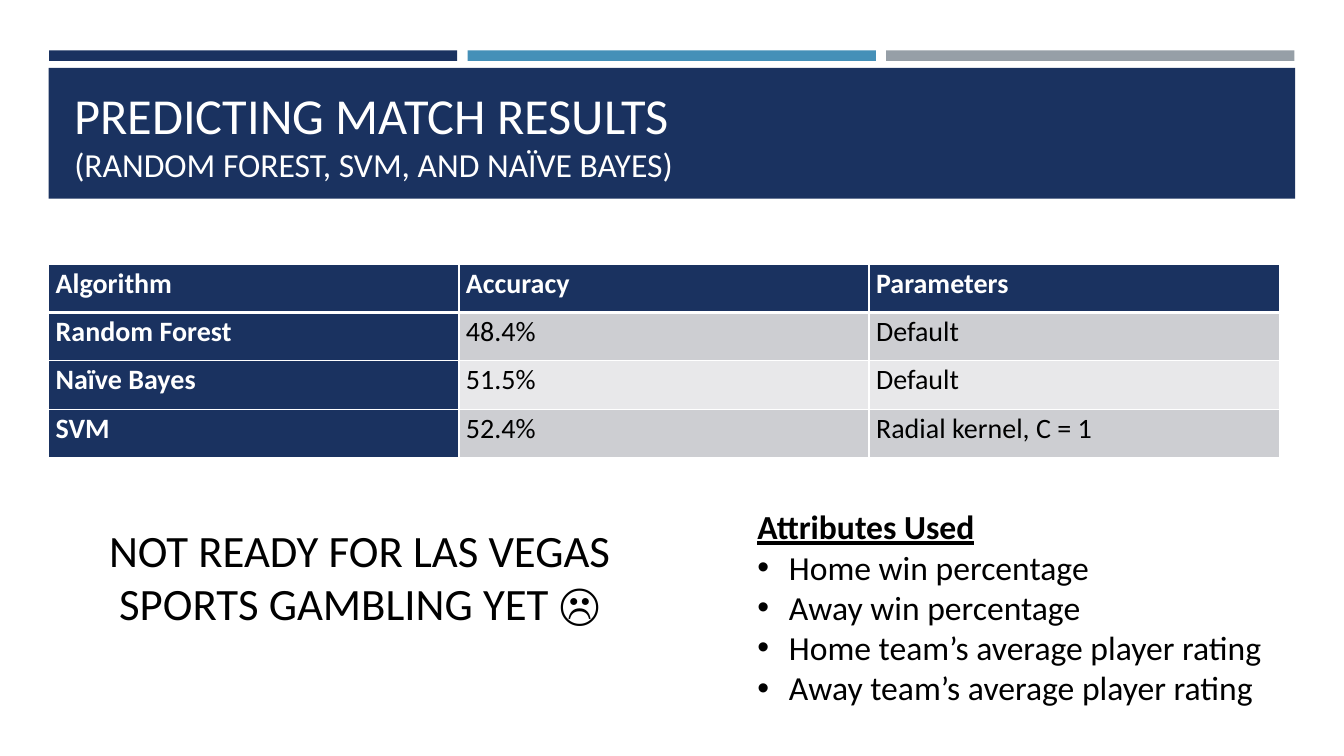
from lxml import etree
from pptx import Presentation
from pptx.dml.color import RGBColor
from pptx.enum.shapes import MSO_SHAPE
from pptx.enum.text import MSO_ANCHOR, PP_ALIGN
from pptx.oxml.ns import qn
from pptx.util import Pt

FONT = "Calibri"
COLORS = {
    "navy": "1A3260",
    "blue": "4590B8",
    "gray": "969FA7",
    "band_dark": "CDCED2",
    "band_light": "E8E8EA",
    "white": "FFFFFF",
    "black": "000000",
}
RESULTS = [
    ["Algorithm", "Accuracy", "Parameters"],
    ["Random Forest", "48.4%", "Default"],
    ["Naïve Bayes", "51.5%", "Default"],
    ["SVM", "52.4%", "Radial kernel, C = 1"],
]
ATTRIBUTES = [
    "Home win percentage",
    "Away win percentage",
    "Home team’s average player rating",
    "Away team’s average player rating",
]


def color(name):
    return RGBColor.from_string(COLORS[name])


def style_span(span, size, color_name, bold=False):
    span.font.name = FONT
    span.font.size = Pt(size)
    span.font.bold = bold
    span.font.color.rgb = color(color_name)


def add_bar(page, left, top, width, height, color_name):
    bar = page.shapes.add_shape(
        MSO_SHAPE.RECTANGLE, Pt(left), Pt(top), Pt(width), Pt(height))
    bar.shadow.inherit = False
    bar.fill.solid()
    bar.fill.fore_color.rgb = color(color_name)
    bar.line.fill.background()


def add_text(page, left, top, width, height, anchor=MSO_ANCHOR.TOP):
    box = page.shapes.add_textbox(Pt(left), Pt(top), Pt(width), Pt(height))
    box.text_frame.word_wrap = True
    box.text_frame.vertical_anchor = anchor
    return box.text_frame


def add_title(page, title, subtitle):
    frame = add_text(page, 46, 55.5, 868, 80, MSO_ANCHOR.BOTTOM)
    para = frame.paragraphs[0]
    para.text = f"{title}\n{subtitle}"
    for span, size in zip(para.runs, (36, 24)):
        style_span(span, size, "white")


def add_conclusion(page, text):
    frame = add_text(page, 56, 369.5, 402, 124)
    frame.text = text
    para = frame.paragraphs[0]
    para.alignment = PP_ALIGN.CENTER
    style_span(para.runs[0], 32, "black")


def set_bullet(para, indent):
    properties = para._p.get_or_add_pPr()
    properties.set("marL", str(Pt(indent)))
    properties.set("indent", str(-Pt(indent)))
    etree.SubElement(properties, qn("a:buFont")).set("typeface", "Arial")
    etree.SubElement(properties, qn("a:buChar")).set("char", "•")


def add_bullet_list(page, heading, items):
    frame = add_text(page, 534, 358, 402, 152.5)
    frame.text = "\n".join([heading, *items])
    heading_para, *item_paras = frame.paragraphs
    style_span(heading_para.runs[0], 24, "black", bold=True)
    heading_para.runs[0].font.underline = True
    for para in item_paras:
        style_span(para.runs[0], 24, "black")
        set_bullet(para, 22.5)


def set_borders(cell, widths):
    """Draw white cell borders; widths maps each side's tag to points."""
    properties = cell._tc.get_or_add_tcPr()
    for position, (tag, width) in enumerate(widths.items()):
        line = etree.Element(qn(f"a:{tag}"), w=str(Pt(width)))
        fill = etree.SubElement(line, qn("a:solidFill"))
        etree.SubElement(fill, qn("a:srgbClr")).set("val", COLORS["white"])
        properties.insert(position, line)


def style_cell(cell, row, column):
    is_header = row == 0 or column == 0
    band = "band_dark" if row % 2 else "band_light"
    cell.fill.solid()
    cell.fill.fore_color.rgb = color("navy" if is_header else band)
    cell.margin_left = cell.margin_right = Pt(5)
    cell.margin_top = cell.margin_bottom = 0
    para = cell.text_frame.paragraphs[0]
    para.line_spacing = 1.07
    style_span(para.runs[0], 20, "white" if is_header else "black", is_header)
    set_borders(cell, {
        "lnL": 1,
        "lnR": 1,
        "lnT": 3 if row == 1 else 1,
        "lnB": 3 if row == 0 else 1,
    })


def add_results_table(page, rows):
    table = page.shapes.add_table(
        len(rows), len(rows[0]), Pt(34.8), Pt(188.6), Pt(879), Pt(138.4)).table
    for row, values in enumerate(rows):
        for column, value in enumerate(values):
            cell = table.cell(row, column)
            cell.text = value
            style_cell(cell, row, column)


def main():
    deck = Presentation()
    deck.slide_width, deck.slide_height = Pt(960), Pt(540)
    page = deck.slides.add_slide(deck.slide_layouts[6])

    for index, name in enumerate(("navy", "blue", "gray")):
        add_bar(page, 35 + index * 299, 36, 291.6, 7.5, name)
    add_bar(page, 34.8, 48.5, 890.4, 93.5, "navy")
    add_title(page, "PREDICTING MATCH RESULTS",
              "(RANDOM FOREST, SVM, AND NAÏVE BAYES)")
    add_results_table(page, RESULTS)
    add_bullet_list(page, "Attributes Used", ATTRIBUTES)
    add_conclusion(page, "NOT READY FOR LAS VEGAS SPORTS GAMBLING YET ☹")

    deck.save("out.pptx")


if __name__ == "__main__":
    main()
